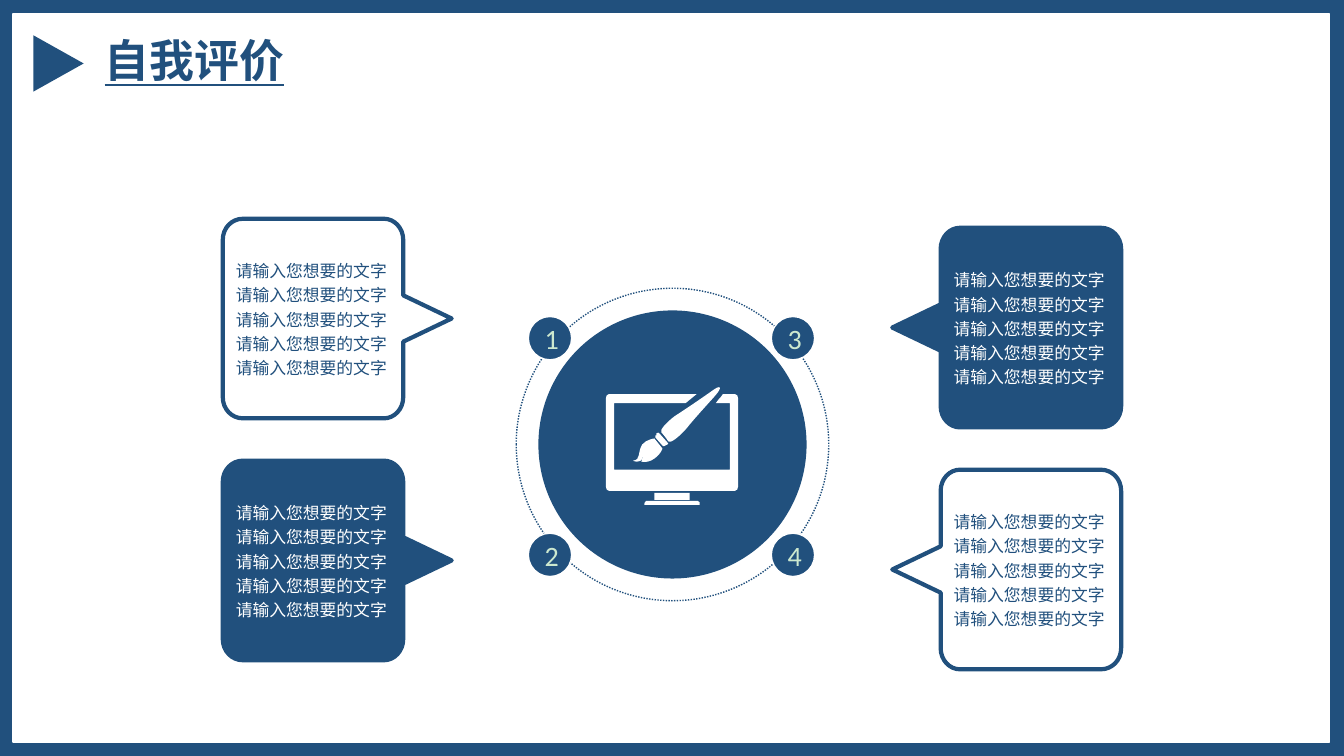
from pptx import Presentation
from pptx.dml.color import RGBColor
from pptx.enum.dml import MSO_LINE
from pptx.enum.lang import MSO_LANGUAGE_ID
from pptx.enum.shapes import MSO_SHAPE
from pptx.enum.text import MSO_ANCHOR, PP_ALIGN
from pptx.oxml.ns import qn
from pptx.util import Inches, Pt

THEME = {
    "navy": RGBColor(0x21, 0x50, 0x7D),
    "white": RGBColor(0xFF, 0xFF, 0xFF),
    "mint": RGBColor(0xCC, 0xE8, 0xCF),
    "font": "Calibri",
    "title": Pt(32),
    "body": Pt(12),
    "digit": Pt(20),
}
NAVY, WHITE, MINT = THEME["navy"], THEME["white"], THEME["mint"]
WIDE, HIGH = 13.33, 7.5

deck = Presentation()
deck.slide_width, deck.slide_height = Inches(WIDE), Inches(HIGH)
slide = deck.slides.add_slide(deck.slide_layouts[6])
shapes = slide.shapes
texts = []


def place(kind, box, fill=None, line=None):
    """Add a preset shape, with its fill and a 1 pt line where given."""
    shape = shapes.add_shape(kind, *map(Inches, box))
    shape.shadow.inherit = False
    for part, color in ((shape.fill, fill), (shape.line.fill, line)):
        if color is None:
            part.background()
        else:
            part.solid()
            part.fore_color.rgb = color
    if line is not None:
        shape.line.width = Pt(1)
    return shape


def trace(start, steps):
    """Draw a closed outline: a step of two numbers is a line, of six a curve."""
    points = [(Inches(x), Inches(y)) for step in steps
              for x, y in zip(step[::2], step[1::2])]
    pen = shapes.build_freeform(Inches(start[0]), Inches(start[1]))
    pen.add_line_segments(points, close=True)
    shape = pen.convert_to_shape()
    shape.shadow.inherit = False
    # Gather the three points of each curve into one Bezier segment
    legs = iter(shape._element.findall(".//" + qn("a:lnTo")))
    for step in steps:
        group = [next(legs) for _ in range(len(step) // 2)]
        if len(group) == 3:
            curve = group[0].makeelement(qn("a:cubicBezTo"), {})
            group[0].addprevious(curve)
            for leg in group:
                curve.append(leg[0])
                leg.getparent().remove(leg)
    return shape


# Frame and heading
place(MSO_SHAPE.RECTANGLE, (0, 0, WIDE, HIGH), NAVY)
place(MSO_SHAPE.RECTANGLE, (0.13, 0.14, 13.06, 7.22), WHITE, WHITE)
title = shapes.add_textbox(*map(Inches, (0.94, 0.28, 3.75, 0.64)))
texts.append((title, ["自我评价"], NAVY, {"size": THEME["title"], "bold": True, "underline": True},
              {"alignment": PP_ALIGN.JUSTIFY}))
place(MSO_SHAPE.ISOSCELES_TRIANGLE, (0.3, 0.38, 0.56, 0.5), NAVY).rotation = 90

# Speech bubbles: the right column mirrors the left, slightly lower
for col in range(2):
    for row in range(2):
        solid = col != row
        top = 2.17 + 0.09 * col + 2.4 * row
        low = top + 1.98
        steps = [
            (2.21, low - 0.21), (2.21, low - 0.09, 2.3, low, 2.41, low),
            (3.81, low), (3.91, low, 4, low - 0.09, 4, low - 0.21),
            (4, top + 1.22), (4.48, top + 0.99), (4, top + 0.76),
            (4, top + 0.21), (4, top + 0.09, 3.91, top, 3.81, top),
            (2.41, top), (2.3, top, 2.21, top + 0.09, 2.21, top + 0.21),
        ]
        if col:
            steps = [tuple(WIDE - v if i % 2 == 0 else v for i, v in enumerate(step))
                     for step in steps]
        bubble = trace(steps[-1][-2:], steps)
        bubble.line.color.rgb = NAVY
        bubble.line.width = Pt(3)
        label = shapes.add_textbox(Inches((2.24, 9.36)[col]), Inches(top + 0.33),
                                   Inches(1.76), Inches(1.51))
        for part in (bubble, label):
            if solid:
                part.fill.solid()
                part.fill.fore_color.rgb = NAVY
            else:
                part.fill.background()
        texts.append((label, ["请输入您想要的文字"] * 5, WHITE if solid else NAVY,
                      {"size": THEME["body"]}, {"line_spacing": 1.2}))

# Central disc and dotted ring
place(MSO_SHAPE.OVAL, (5.34, 3.08, 2.66, 2.66), NAVY)
ring = place(MSO_SHAPE.OVAL, (5.12, 2.86, 3.1, 3.1), None, NAVY)
ring.line.dash_style = MSO_LINE.ROUND_DOT

# Monitor and brush
place(MSO_SHAPE.RECTANGLE, (6.49, 4.89, 0.35, 0.07), WHITE)
foot = ((6.92, 4.97), [
    (6.41, 4.97), (6.4, 4.97, 6.39, 4.99, 6.39, 5), (6.39, 5.01),
    (6.94, 5.01), (6.94, 5), (6.94, 4.99, 6.94, 4.97, 6.92, 4.97)])
screen = ((7.29, 3.91), [
    (7.17, 3.91), (7.16, 3.93, 7.14, 3.95, 7.13, 3.96), (7.1, 4),
    (7.24, 4), (7.24, 4.66), (6.09, 4.66), (6.09, 4), (6.8, 4), (6.91, 3.91),
    (6.04, 3.91), (6.02, 3.91, 6.01, 3.93, 6.01, 3.95),
    (6.01, 4.83), (6.01, 4.85, 6.02, 4.87, 6.04, 4.87),
    (7.29, 4.87), (7.31, 4.87, 7.32, 4.85, 7.32, 4.83),
    (7.32, 3.95), (7.32, 3.93, 7.31, 3.91, 7.29, 3.91)])
tip = ((6.37, 4.41), [
    (6.32, 4.49, 6.36, 4.56, 6.28, 4.57), (6.28, 4.57, 6.29, 4.58, 6.31, 4.58),
    (6.35, 4.58, 6.37, 4.57, 6.38, 4.52), (6.38, 4.52, 6.38, 4.56, 6.36, 4.58),
    (6.4, 4.59, 6.45, 4.58, 6.49, 4.55), (6.56, 4.5, 6.57, 4.45, 6.57, 4.45),
    (6.49, 4.35), (6.49, 4.35, 6.41, 4.36, 6.37, 4.41)])
handle = ((7.06, 3.88), [
    (6.96, 3.95, 6.8, 4.06, 6.69, 4.13), (6.6, 4.2, 6.54, 4.27, 6.56, 4.29),
    (6.58, 4.31, 6.61, 4.35, 6.63, 4.38), (6.65, 4.4, 6.73, 4.34, 6.81, 4.25),
    (6.88, 4.16, 7.01, 4.02, 7.09, 3.93), (7.17, 3.84, 7.15, 3.81, 7.06, 3.88)])
collar = ((6.54, 4.3), [
    (6.54, 4.29, 6.52, 4.29, 6.51, 4.3), (6.51, 4.31, 6.51, 4.31, 6.51, 4.32),
    (6.51, 4.32, 6.51, 4.32, 6.5, 4.32), (6.49, 4.33, 6.49, 4.33, 6.5, 4.34),
    (6.57, 4.42), (6.58, 4.43, 6.59, 4.43, 6.6, 4.42),
    (6.61, 4.42, 6.61, 4.42, 6.62, 4.41), (6.63, 4.4, 6.63, 4.4, 6.62, 4.39)])
for start, steps in (foot, screen, tip, handle, collar):
    part = trace(start, steps)
    part.fill.solid()
    part.fill.fore_color.rgb = WHITE
    part.line.fill.background()

# Numbered dots, counted down each column
for i in range(4):
    col, row = divmod(i, 2)
    dot = place(MSO_SHAPE.OVAL, (5.24 + 2.41 * col, 3.14 + 2.15 * row, 0.43, 0.43), NAVY, WHITE)
    dot.text_frame.vertical_anchor = MSO_ANCHOR.MIDDLE
    texts.append((dot, [str(i + 1)], MINT, {"size": THEME["digit"]},
                  {"alignment": PP_ALIGN.CENTER}))

# Wording
for shape, lines, color, look, layout in texts:
    frame = shape.text_frame
    frame.word_wrap = True
    for i, line in enumerate(lines):
        para = frame.add_paragraph() if i else frame.paragraphs[0]
        for name, value in layout.items():
            setattr(para, name, value)
        run = para.add_run()
        run.text = line
        base = {"name": THEME["font"], "language_id": MSO_LANGUAGE_ID.SIMPLIFIED_CHINESE}
        for name, value in {**base, **look}.items():
            setattr(run.font, name, value)
        run.font.color.rgb = color

deck.save("out.pptx")
